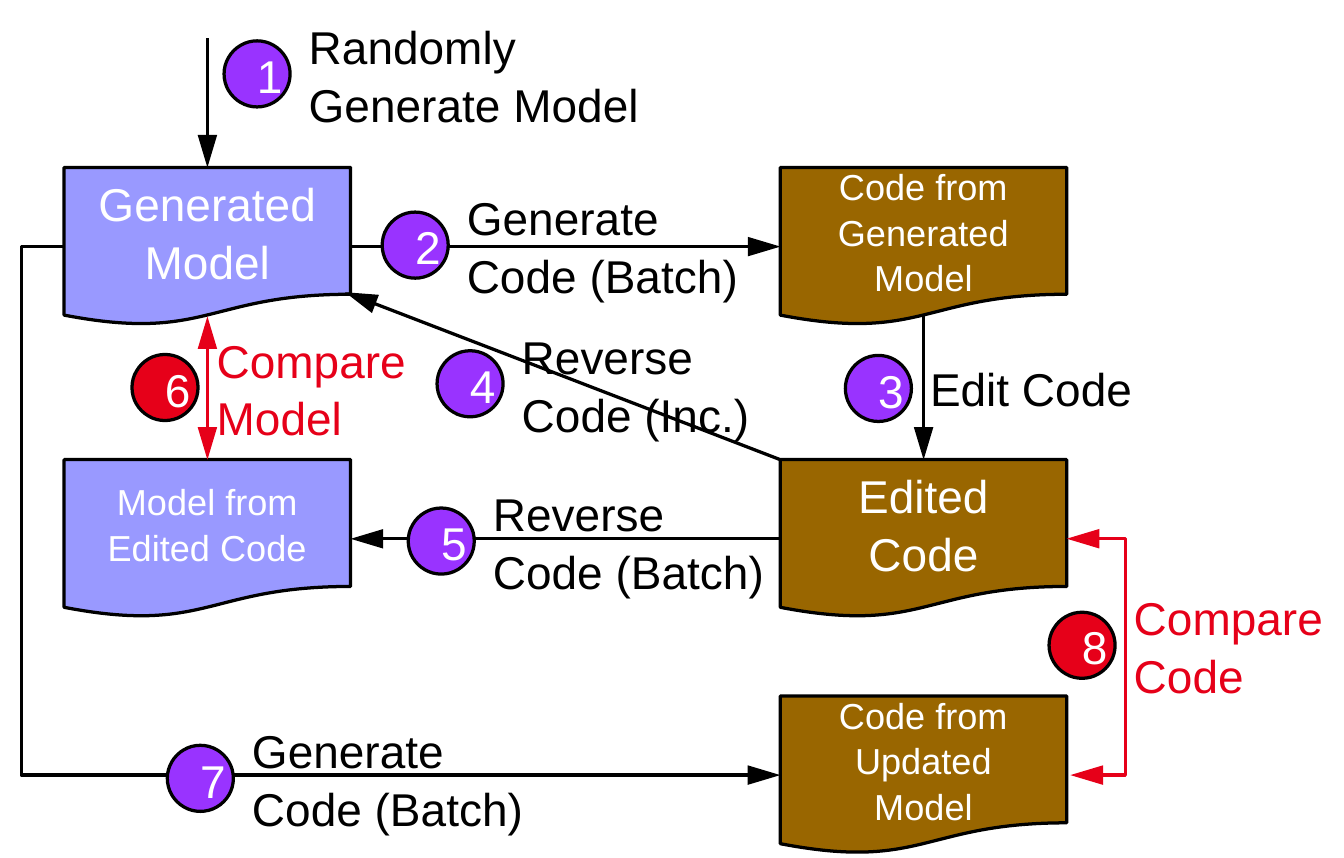
from dataclasses import dataclass

from lxml.etree import SubElement
from pptx import Presentation
from pptx.dml.color import RGBColor
from pptx.enum.shapes import MSO_CONNECTOR, MSO_SHAPE
from pptx.enum.text import MSO_ANCHOR, PP_ALIGN
from pptx.oxml.ns import qn
from pptx.util import Cm, Pt


@dataclass(frozen=True)
class Theme:
    """Colours, type sizes and line width of the diagram."""
    font: str = "Arial"
    large: int = 14
    small: int = 11
    spacing: float = 1.05
    line: float = 1
    ink: str = "000000"
    paper: str = "FFFFFF"
    model: str = "9999FF"
    code: str = "996600"
    step: str = "9933FF"
    compare: str = "E60019"


THEME = Theme()
BOX_WIDTH, BOX_HEIGHT = 3.08, 1.7
LEFT, RIGHT = 0.69, 8.39
TOP, MIDDLE, BOTTOM = 1.8, 4.94, 7.48
CIRCLE = 0.71
LABEL_OFFSET = 0.66


def write_text(shape, text, color=THEME.ink, size=THEME.large,
               align=PP_ALIGN.LEFT, anchor=MSO_ANCHOR.TOP):
    """Put one formatted paragraph into a shape."""
    frame = shape.text_frame
    frame.word_wrap = True
    frame.vertical_anchor = anchor
    para = frame.paragraphs[0]
    para.alignment = align
    para.line_spacing = THEME.spacing
    span = para.add_run()
    span.text = text
    span.font.name = THEME.font
    span.font.size = Pt(size)
    span.font.color.rgb = RGBColor.from_string(color)


def add_filled(page, kind, left, top, width, height, fill, text, size=THEME.large):
    """Add an outlined shape with centred light text."""
    shape = page.shapes.add_shape(kind, Cm(left), Cm(top), Cm(width), Cm(height))
    shape.shadow.inherit = False
    shape.fill.solid()
    shape.fill.fore_color.rgb = RGBColor.from_string(fill)
    shape.line.color.rgb = RGBColor.from_string(THEME.ink)
    shape.line.width = Pt(THEME.line)
    write_text(shape, text, color=THEME.paper, size=size,
               align=PP_ALIGN.CENTER, anchor=MSO_ANCHOR.MIDDLE)


def add_document(page, left, top, fill, text, size=THEME.large):
    """Add a document box of the common size."""
    add_filled(page, MSO_SHAPE.FLOWCHART_DOCUMENT, left, top,
               BOX_WIDTH, BOX_HEIGHT, fill, text, size)


def add_arrow(page, start, end, color=THEME.ink, both=False, bend_x=None):
    """Add an arrow, with an elbow at bend_x when that is given."""
    kind = MSO_CONNECTOR.STRAIGHT if bend_x is None else MSO_CONNECTOR.ELBOW
    arrow = page.shapes.add_connector(kind, *map(Cm, start + end))
    arrow.line.color.rgb = RGBColor.from_string(color)
    arrow.line.width = Pt(THEME.line)
    outline = arrow.line._get_or_add_ln()
    for name in ("a:headEnd", "a:tailEnd") if both else ("a:tailEnd",):
        SubElement(outline, qn(name), type="triangle", w="med", len="lg")
    properties = arrow._element.spPr
    SubElement(properties, qn("a:effectLst"))
    if bend_x is not None:
        ratio = (bend_x - start[0]) / (end[0] - start[0])
        guides = properties.find(qn("a:prstGeom")).get_or_add_avLst()
        SubElement(guides, qn("a:gd"), name="adj1", fmla=f"val {round(ratio * 100000)}")


def add_step(page, number, left, top, text, width, lines=2,
             fill=THEME.step, color=THEME.ink):
    """Add a numbered circle and the label centred beside it."""
    add_filled(page, MSO_SHAPE.OVAL, left, top, CIRCLE, CIRCLE, fill, str(number))
    height = 0.27 + 0.59 * lines
    label_top = top + 0.33 - height / 2
    label = page.shapes.add_textbox(Cm(left + LABEL_OFFSET), Cm(label_top),
                                    Cm(width), Cm(height))
    write_text(label, text, color=color)


def add_documents(page):
    """Add the model and code documents."""
    add_document(page, LEFT, TOP, THEME.model, "Generated Model")
    add_document(page, LEFT, MIDDLE, THEME.model, "Model from Edited Code", THEME.small)
    add_document(page, RIGHT, TOP, THEME.code, "Code from Generated Model", THEME.small)
    add_document(page, RIGHT, MIDDLE, THEME.code, "Edited Code")
    add_document(page, RIGHT, BOTTOM, THEME.code, "Code from Updated Model", THEME.small)


def add_arrows(page):
    """Link the documents."""
    model_x, code_x = LEFT + BOX_WIDTH / 2, RIGHT + BOX_WIDTH / 2
    model_edge, code_edge = LEFT + BOX_WIDTH, RIGHT + BOX_WIDTH
    top_y, middle_y, bottom_y = (row + BOX_HEIGHT / 2 for row in (TOP, MIDDLE, BOTTOM))
    under_top = TOP + 1.6
    add_arrow(page, (model_x, 0.41), (model_x, TOP))
    add_arrow(page, (model_edge, top_y), (RIGHT, top_y))
    add_arrow(page, (code_x, under_top), (code_x, MIDDLE))
    add_arrow(page, (RIGHT, MIDDLE), (3.71, 3.14))
    add_arrow(page, (RIGHT, middle_y), (model_edge, middle_y))
    add_arrow(page, (model_x, under_top), (model_x, MIDDLE), THEME.compare, both=True)
    add_arrow(page, (LEFT, top_y), (RIGHT, bottom_y), bend_x=0.23)
    add_arrow(page, (code_edge, middle_y), (code_edge + 0.04, bottom_y),
              THEME.compare, both=True, bend_x=12.1)


def add_steps(page):
    """Add the eight numbered steps."""
    compare = {"fill": THEME.compare, "color": THEME.compare}
    add_step(page, 1, 2.41, 0.44, "Randomly Generate Model", 4.22)
    add_step(page, 2, 4.11, 2.28, "Generate Code (Batch)", 3.56)
    add_step(page, 3, 9.09, 3.82, "Edit Code", 2.87, lines=1)
    add_step(page, 4, 4.7, 3.77, "Reverse Code (Inc.)", 3.56)
    add_step(page, 5, 4.39, 5.46, "Reverse Code (Batch)", 3.56)
    add_step(page, 6, 1.42, 3.81, "Compare Model", 2.64, **compare)
    add_step(page, 7, 1.8, 8.01, "Generate Code (Batch)", 3.56)
    add_step(page, 8, 11.28, 6.58, "Compare Code", 2.64, **compare)


def main():
    """Build the deck and save it."""
    deck = Presentation()
    deck.slide_width, deck.slide_height = Cm(14.45), Cm(9.22)
    page = deck.slides.add_slide(deck.slide_layouts[6])
    add_documents(page)
    add_arrows(page)
    add_steps(page)
    deck.save("out.pptx")


if __name__ == "__main__":
    main()
